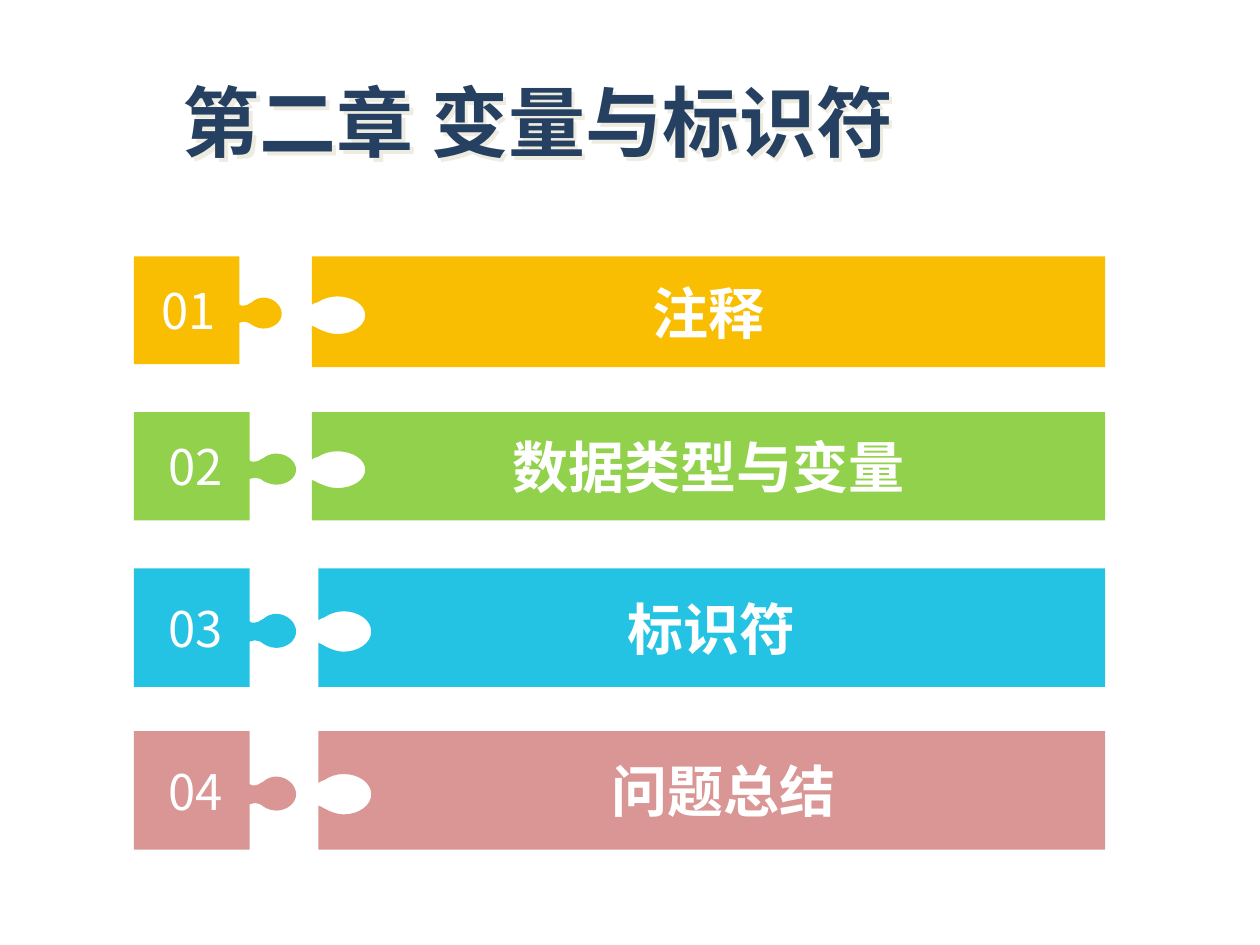
import pptx
import pptx.util
import pptx.dml.color
import pptx.enum.text
import pptx.oxml
import pptx.oxml.ns
import lxml.etree

Cm = pptx.util.Cm
Pt = pptx.util.Pt
qn = pptx.oxml.ns.qn
FONT = "Noto Sans CJK SC"
COLORS = {
    "navy": "254061", "beige": "EEECE1", "white": "FFFFFF",
    "gold": "F9BE01", "green": "92D14C", "cyan": "25C3E3", "rose": "D99694",
}

# Outlines in a design grid: one pair is a corner, three pairs are a Bezier curve.
TAB_GRID = (129, 94)
TAB = [
    [(113, 36)],
    [(109, 36), (105, 38), (103, 40)],
    [(102, 40), (102, 41), (101, 41)],
    [(100, 42), (98, 43), (96, 43)],
    [(94, 43), (93, 43), (92, 42)],
    [(92, 0)], [(0, 0)], [(0, 94)], [(92, 94)], [(92, 58)],
    [(94, 57), (94, 57), (96, 57)],
    [(98, 57), (101, 58), (102, 59)],
    [(103, 60), (108, 63), (113, 63)],
    [(122, 63), (129, 57), (129, 50)],
    [(129, 43), (122, 36), (113, 36)],
]
BAR_GRID = (625, 94)
BAR = [
    [(0, 41)],
    [(1, 40), (2, 40), (4, 39)],
    [(4, 39), (5, 39), (6, 38)],
    [(9, 36), (14, 34), (20, 34)],
    [(32, 34), (42, 41), (42, 50)],
    [(42, 59), (32, 66), (20, 66)],
    [(13, 66), (6, 62), (4, 61)],
    [(3, 60), (2, 60), (0, 59)],
    [(0, 94)], [(625, 94)], [(625, 0)], [(0, 0)],
]
TAB_LEFT = 2.7
BAR_RIGHT = 22.28

# number, label, colour, top, tab width, tab height, bar left, bar height (cm)
ROWS = [
    ("03", "标识符", "cyan", 11.46, 3.27, 2.39, 6.42, 2.39),
    ("02", "数据类型与变量", "green", 8.31, 3.27, 2.18, 6.29, 2.18),
    ("01", "注释", "gold", 5.17, 2.98, 2.17, 6.29, 2.23),
    ("04", "问题总结", "rose", 14.74, 3.27, 2.39, 6.42, 2.39),
]


def rgb(name):
    return pptx.dml.color.RGBColor.from_string(COLORS[name])


def bend(shape, parts):
    """Turn the straight segments that stand for curves into Bezier curves."""
    lines = list(shape._element.iter(qn("a:lnTo")))
    for line, part in zip(lines, parts):
        if len(part) == 3:
            curve = lxml.etree.SubElement(line.getparent(), qn("a:cubicBezTo"))
            for x, y in part:
                lxml.etree.SubElement(curve, qn("a:pt"), x=str(x - shape.left),
                                      y=str(y - shape.top))
            line.getparent().replace(line, curve)


def style(frame, size, color, bold, align):
    """Format the only paragraph of a text frame."""
    para = frame.paragraphs[0]
    para.alignment = align
    font = para.runs[0].font
    font.size = Pt(size)
    font.bold = bold
    font.color.rgb = rgb(color)
    font.name = FONT
    props = para.runs[0]._r.get_or_add_rPr()
    lxml.etree.SubElement(props, qn("a:ea"), typeface=FONT)
    return para


def add_piece(slide, outline, grid, box, color, text, size, bold):
    """Draw one puzzle piece, its outline stretched to box (cm)."""
    left, top, width, height = box
    parts = [[(Cm(left + x * width / grid[0]), Cm(top + y * height / grid[1]))
              for x, y in part] for part in outline]
    ends = [part[-1] for part in parts]
    form = slide.shapes.build_freeform(*ends[0], scale=1.0)
    form.add_line_segments(ends[1:], close=True)
    shape = form.convert_to_shape()
    bend(shape, parts[1:])
    shape.shadow.inherit = False
    shape.fill.solid()
    shape.fill.fore_color.rgb = rgb(color)
    shape.line.fill.background()
    frame = shape.text_frame
    frame.word_wrap = True
    frame.vertical_anchor = pptx.enum.text.MSO_ANCHOR.MIDDLE
    frame.text = text
    style(frame, size, "white", bold, pptx.enum.text.PP_ALIGN.CENTER)
    return frame


def add_row(slide, row):
    num, label, color, top, wide, high, left, tall = row
    tab = add_piece(slide, TAB, TAB_GRID, (TAB_LEFT, top, wide, high),
                    color, num, 28, False)
    tab.margin_left = 0
    tab.margin_right = Cm(0.79)
    bar = add_piece(slide, BAR, BAR_GRID, (left, top, BAR_RIGHT - left, tall),
                    color, label, 32, True)
    if num == "04":
        bar.margin_left = Cm(0.74)


def set_title(slide, text):
    title = slide.shapes.title
    title.left, title.top = Cm(3.43), Cm(1.62)
    title.width, title.height = Cm(16.61), Cm(1.88)
    frame = title.text_frame
    frame.text = text
    frame.word_wrap = True
    frame.auto_size = pptx.enum.text.MSO_AUTO_SIZE.NONE
    frame.vertical_anchor = pptx.enum.text.MSO_ANCHOR.MIDDLE
    para = style(frame, 44, "navy", True, pptx.enum.text.PP_ALIGN.LEFT)
    para.line_spacing = 0.9
    title._element.spPr.append(pptx.oxml.parse_xml(
        f'<a:effectLst {pptx.oxml.ns.nsdecls("a")}>'
        '<a:outerShdw dist="38100" dir="2700000" algn="tl">'
        f'<a:srgbClr val="{COLORS["beige"]}"/></a:outerShdw></a:effectLst>'))


def main():
    deck = pptx.Presentation()
    deck.slide_width, deck.slide_height = Cm(25.4), Cm(19.05)
    slide = deck.slides.add_slide(deck.slide_layouts[5])
    set_title(slide, "第二章 变量与标识符")
    for row in ROWS:
        add_row(slide, row)
    deck.save("out.pptx")


if __name__ == "__main__":
    main()
